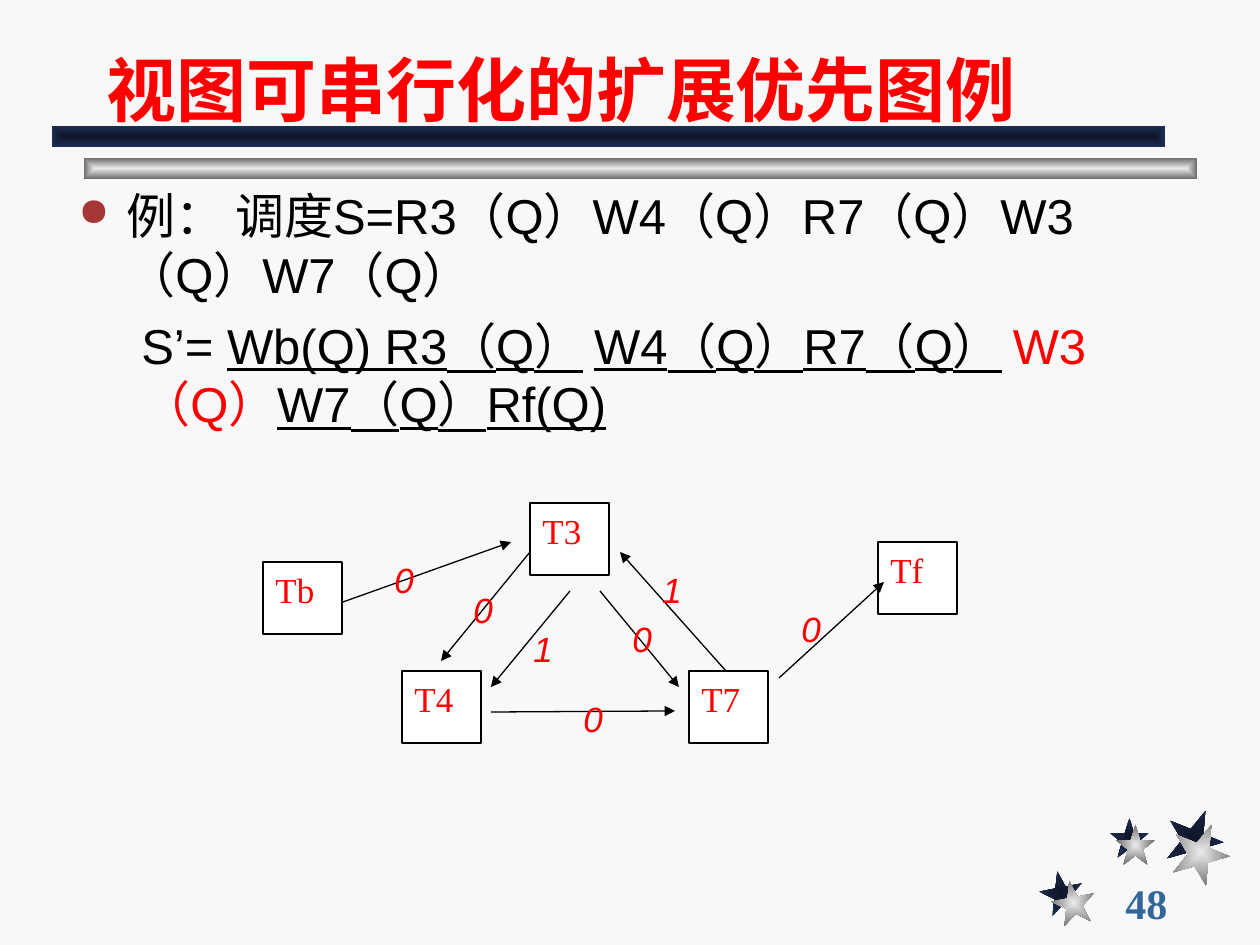
import pptx
import pptx.util
import pptx.dml.color
import pptx.enum.shapes
import pptx.enum.text
import pptx.oxml
import pptx.oxml.ns
from lxml import etree

RGB = pptx.dml.color.RGBColor
BACKGROUND = RGB(0xF8, 0xF8, 0xF8)
WHITE = RGB(0xFF, 0xFF, 0xFF)
BLACK = RGB(0, 0, 0)
RED = RGB(0xFF, 0, 0)
PAGE_BLUE = RGB(0x33, 0x66, 0x99)
BULLET_RED = RGB(0xA7, 0x37, 0x37)
NAVY = (RGB(0x0E, 0x15, 0x26), RGB(0x1E, 0x2E, 0x53))
SILVER = (RGB(0xEA, 0xEA, 0xEA), RGB(0x6C, 0x6C, 0x6C))

PX = 914400 / 126
SHAPE = pptx.enum.shapes.MSO_SHAPE
ANCHOR = pptx.enum.text.MSO_ANCHOR
ALIGN = pptx.enum.text.PP_ALIGN
Pt = pptx.util.Pt
qn = pptx.oxml.ns.qn


def emu(*lengths):
    return [round(length * PX) for length in lengths]


def add_ornament(kind, box, colours, rotation=0):
    """Add a borderless shape shaded from its centre to its edges."""
    ornament = slide.shapes.add_shape(kind, *emu(*box))
    ornament.shadow.inherit = False
    ornament.rotation = rotation
    ornament.line.fill.background()
    ornament.fill.gradient()
    for stop, colour in zip(ornament.fill.gradient_stops, colours):
        stop.color.rgb = colour
    gradient = ornament._element.spPr.find(qn("a:gradFill"))
    gradient.remove(gradient.find(qn("a:lin")))
    centre = etree.SubElement(gradient, qn("a:path"), path="rect")
    etree.SubElement(centre, qn("a:fillToRect"),
                     l="50000", t="50000", r="50000", b="50000")


deck = pptx.Presentation()
deck.slide_width, deck.slide_height = emu(1260, 945)
slide = deck.slides.add_slide(deck.slide_layouts[5])
slide.background.fill.solid()
slide.background.fill.fore_color.rgb = BACKGROUND

# Corner stars: left, top, width, height, rotation, offset of the silver star
stars = [
    (1040, 871, 43, 43, 349, 12, 10),
    (1110, 818, 39, 40, 0, 6, 7),
    (1166, 809, 57, 58, 22, 6, 14),
]
for left, top, width, height, rotation, dx, dy in stars:
    add_ornament(SHAPE.STAR_5_POINT, (left, top, width, height), NAVY, rotation)
    add_ornament(SHAPE.STAR_5_POINT, (left + dx, top + dy, width, height),
                 SILVER, rotation)

# Bars under the title
add_ornament(SHAPE.RECTANGLE, (84, 158, 1113, 21), SILVER)
add_ornament(SHAPE.RECTANGLE, (52, 126, 1113, 21), NAVY)

# Page number
page = slide.shapes.add_textbox(*emu(1113, 882, 136, 42)).text_frame
page.word_wrap = True
page.vertical_anchor = ANCHOR.MIDDLE
page.text = "48"
page_font = page.paragraphs[0].font
page_font.name, page_font.size, page_font.bold = "Times New Roman", Pt(24), True
page_font.color.rgb = PAGE_BLUE

# Title
title = slide.shapes.title
title.left, title.top, title.width, title.height = emu(94, 21, 1071, 116)
title.text_frame.text = "视图可串行化的扩展优先图例"
title.text_frame.vertical_anchor = ANCHOR.BOTTOM
heading = title.text_frame.paragraphs[0]
heading.alignment = ALIGN.LEFT
heading.font.name, heading.font.size, heading.font.bold = "Arial", Pt(40), True
heading.font.color.rgb = RED

# Schedules
schedules = slide.shapes.add_textbox(*emu(66, 179, 1155, 284)).text_frame
schedules.word_wrap = True
original = schedules.paragraphs[0]
original.text = "例： 调度S=R3（Q）W4（Q）R7（Q）W3（Q）W7（Q）"
bullet = original._p.get_or_add_pPr()
bullet.set("marL", str(emu(48)[0]))
bullet.set("indent", str(emu(-48)[0]))
bullet_colour = etree.SubElement(bullet, qn("a:buClr"))
etree.SubElement(bullet_colour, qn("a:srgbClr"), val=str(BULLET_RED))
etree.SubElement(bullet, qn("a:buSzPct"), val="80000")
etree.SubElement(bullet, qn("a:buChar"), char="●")

extended = schedules.add_paragraph()
extended._p.get_or_add_pPr().set("marL", str(emu(63)[0]))
extended.space_before = Pt(7)
for text, underlined, colour in [
    ("S’= ", False, BLACK),
    ("Wb(Q) R3（Q）", True, BLACK),
    (" ", False, BLACK),
    ("W4（Q）R7（Q）", True, BLACK),
    (" ", False, BLACK),
    ("W3（Q）", False, RED),
    ("W7（Q）Rf(Q)", True, BLACK),
]:
    operation = extended.add_run()
    operation.text = text
    operation.font.underline = underlined
    operation.font.color.rgb = colour
for schedule in schedules.paragraphs:
    schedule.font.name, schedule.font.size = "Arial", Pt(28)
original.font.color.rgb = BLACK

# Transactions
for name, left, top in [("Tb", 263, 562), ("Tf", 878, 542), ("T4", 402, 671),
                        ("T3", 530, 503), ("T7", 689, 671)]:
    transaction = slide.shapes.add_shape(SHAPE.RECTANGLE, *emu(left, top, 79, 72))
    transaction.shadow.inherit = False
    transaction.fill.solid()
    transaction.fill.fore_color.rgb = WHITE
    transaction.line.color.rgb = BLACK
    transaction.line.width = Pt(0.75)
    transaction.text_frame.vertical_anchor = ANCHOR.TOP
    transaction.text_frame.text = name
    caption = transaction.text_frame.paragraphs[0]
    caption.alignment = ALIGN.JUSTIFY
    caption.font.name, caption.font.size = "Times New Roman", Pt(20)
    caption.font.color.rgb = RED

# Precedence arrows: from, to, weight, left and top of the weight
arrows = [
    ((343, 602), (511, 542), "0", 382, 552),
    ((530, 552), (441, 661), "0", 461, 582),
    ((570, 591), (491, 687), "1", 521, 621),
    ((600, 591), (679, 687), "0", 620, 611),
    ((726, 671), (620, 552), "1", 650, 562),
    ((491, 712), (675, 711), "0", 571, 691),
    ((779, 678), (884, 582), "0", 789, 601),
]
for start, end, weight, left, top in arrows:
    arrow = slide.shapes.add_connector(
        pptx.enum.shapes.MSO_CONNECTOR.STRAIGHT, *emu(*start, *end))
    arrow.line.color.rgb = BLACK
    arrow.line.width = Pt(0.75)
    etree.SubElement(arrow.line._get_or_add_ln(), qn("a:tailEnd"), type="triangle")
    etree.SubElement(arrow._element.spPr, qn("a:effectLst"))

    label = slide.shapes.add_textbox(*emu(left, top, 44, 55)).text_frame
    label.word_wrap = False
    label.text = weight
    digit = label.paragraphs[0]
    digit.alignment = ALIGN.CENTER
    digit.font.name, digit.font.size, digit.font.italic = "Arial", Pt(20), True
    digit.font.color.rgb = RED

deck.save("out.pptx")
